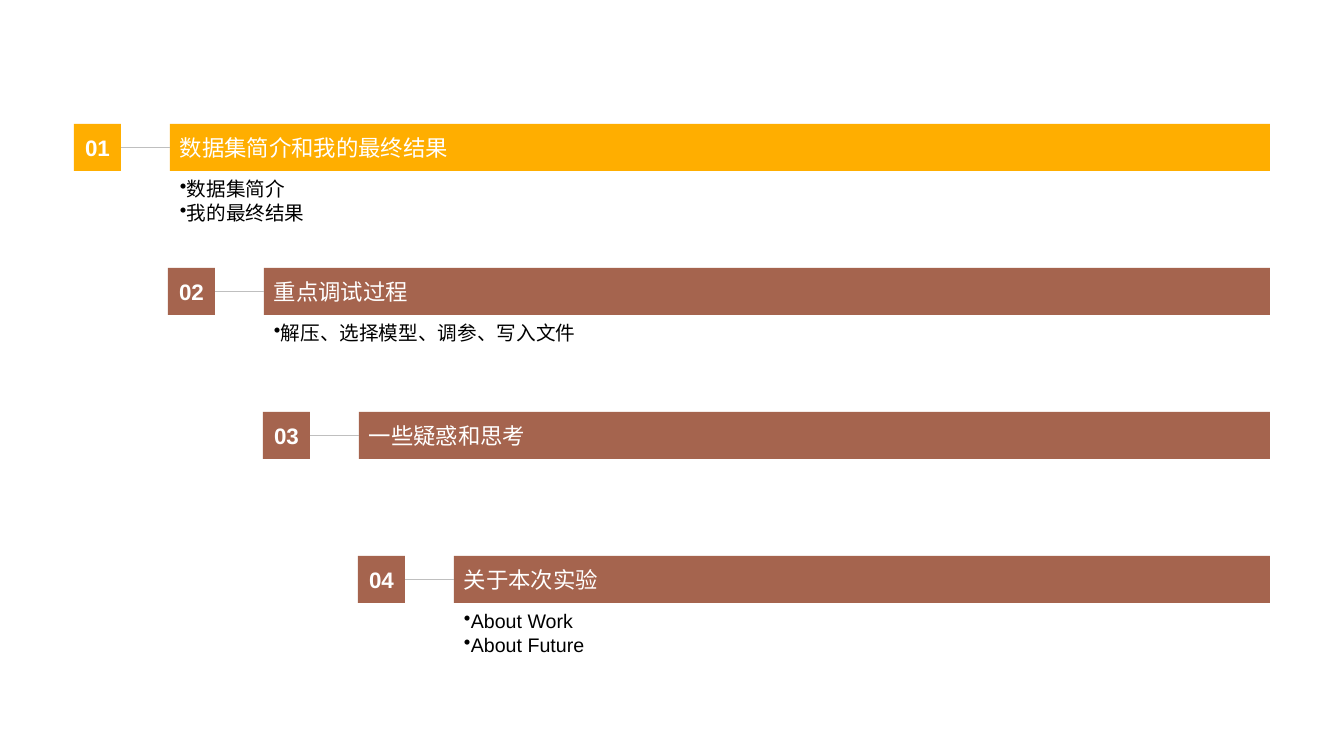
from dataclasses import dataclass

import pptx
import pptx.dml.color
import pptx.enum.shapes
import pptx.enum.text
import pptx.oxml.ns
import pptx.util
from lxml import etree

EMU_PER_PX = 914400 / 100.8
SLIDE_WIDTH, SLIDE_HEIGHT = 1344, 756

FIRST_LEFT, FIRST_TOP = 74, 124
STAIR_WIDTH, ROW_PITCH = 284, 144  # the whole staircase shifts right by STAIR_WIDTH
BOX_SIZE, BAR_OFFSET, BAR_RIGHT = 47, 96, 1270
DETAIL_HEIGHT, BULLET_INDENT = 73, 16

AGENDA = [
    ("数据集简介和我的最终结果", ["数据集简介", "我的最终结果"]),
    ("重点调试过程", ["解压、选择模型、调参、写入文件"]),
    ("一些疑惑和思考", []),
    ("关于本次实验", ["About Work", "About Future"]),
]


@dataclass(frozen=True)
class Theme:
    font: str = "Arial"
    current: str = "FFAE00"
    upcoming: str = "A5644E"
    on_fill: str = "FFFFFF"
    body: str = "000000"
    rule: str = "BFBFBF"
    heading_size: int = 16
    detail_size: int = 14
    detail_leading: float = 17.3
    rule_width: float = 0.25


def px(length):
    return pptx.util.Emu(round(length * EMU_PER_PX))


def rgb(value):
    return pptx.dml.color.RGBColor.from_string(value)


def write(paragraph, text, *, font, size, color, bold=False, align=None, leading=None):
    run = paragraph.add_run()
    run.text = text
    run.font.name = font
    run.font.size = pptx.util.Pt(size)
    run.font.bold = bold
    run.font.color.rgb = rgb(color)
    paragraph.alignment = align or pptx.enum.text.PP_ALIGN.LEFT
    if leading:
        paragraph.line_spacing = pptx.util.Pt(leading)


def add_bullet(paragraph):
    properties = paragraph._p.get_or_add_pPr()
    properties.set("marL", "0")
    properties.set("indent", str(-px(BULLET_INDENT)))
    bullet = etree.SubElement(properties, pptx.oxml.ns.qn("a:buChar"))
    bullet.set("char", "•")


class AgendaSlide:
    def __init__(self, presentation, theme):
        self.theme = theme
        self.slide = presentation.slides.add_slide(presentation.slide_layouts[6])
        self.shapes = self.slide.shapes

    def start_group(self):
        self.shapes = self.slide.shapes.add_group_shape().shapes

    def block(self, text, left, top, width, fill, *, wrap=True, **text_format):
        shape = self.shapes.add_shape(
            pptx.enum.shapes.MSO_SHAPE.RECTANGLE,
            px(left), px(top), px(width), px(BOX_SIZE))
        shape.shadow.inherit = False
        shape.fill.solid()
        shape.fill.fore_color.rgb = rgb(fill)
        shape.line.fill.background()
        frame = shape.text_frame
        frame.word_wrap = wrap
        frame.vertical_anchor = pptx.enum.text.MSO_ANCHOR.MIDDLE
        write(frame.paragraphs[0], text, font=self.theme.font,
              size=self.theme.heading_size, color=self.theme.on_fill, **text_format)

    def rule(self, left, right, y):
        connector = self.shapes.add_connector(
            pptx.enum.shapes.MSO_CONNECTOR.STRAIGHT, px(left), px(y), px(right), px(y))
        connector.line.color.rgb = rgb(self.theme.rule)
        connector.line.width = pptx.util.Pt(self.theme.rule_width)
        etree.SubElement(connector._element.spPr, pptx.oxml.ns.qn("a:effectLst"))

    def details(self, lines, left, top, width):
        frame = self.shapes.add_textbox(
            px(left), px(top), px(width), px(DETAIL_HEIGHT)).text_frame
        frame.word_wrap = True
        for index, line in enumerate(lines):
            paragraph = frame.add_paragraph() if index else frame.paragraphs[0]
            write(paragraph, line, font=self.theme.font, size=self.theme.detail_size,
                  color=self.theme.body, leading=self.theme.detail_leading)
            add_bullet(paragraph)

    def step(self, index, heading, lines):
        left = FIRST_LEFT + STAIR_WIDTH * index // (len(AGENDA) - 1)
        top = FIRST_TOP + ROW_PITCH * index
        bar_left = left + BAR_OFFSET
        bar_width = BAR_RIGHT - bar_left
        fill = self.theme.upcoming if index else self.theme.current

        self.start_group()
        self.block(f"{index + 1:02}", left, top, BOX_SIZE, fill, wrap=False,
                   bold=True, align=pptx.enum.text.PP_ALIGN.CENTER)
        self.block(heading, bar_left, top, bar_width, fill)
        self.rule(left + BOX_SIZE, bar_left, top + BOX_SIZE // 2)
        if lines:
            self.details(lines, bar_left, top + BOX_SIZE, bar_width)


def main():
    presentation = pptx.Presentation()
    presentation.slide_width = px(SLIDE_WIDTH)
    presentation.slide_height = px(SLIDE_HEIGHT)
    agenda = AgendaSlide(presentation, Theme())
    for index, (heading, lines) in enumerate(AGENDA):
        agenda.step(index, heading, lines)
    presentation.save("out.pptx")


if __name__ == "__main__":
    main()
